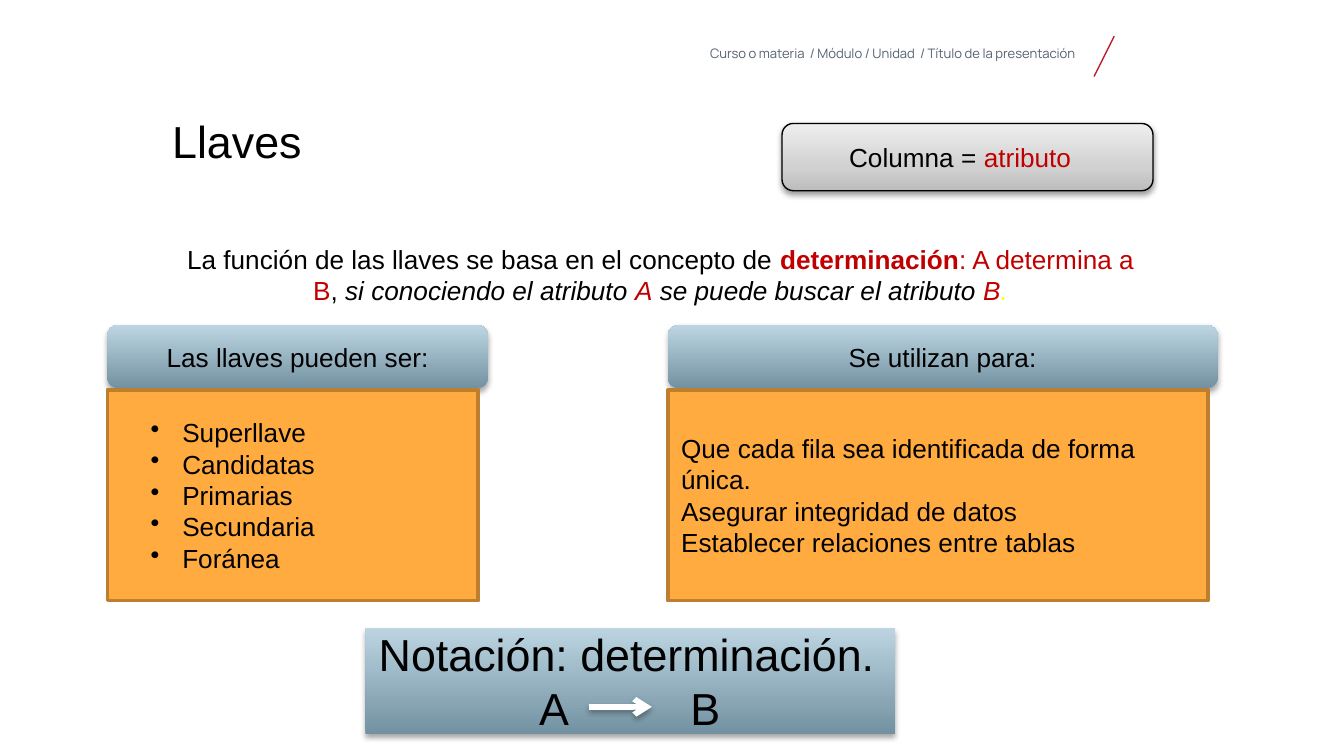
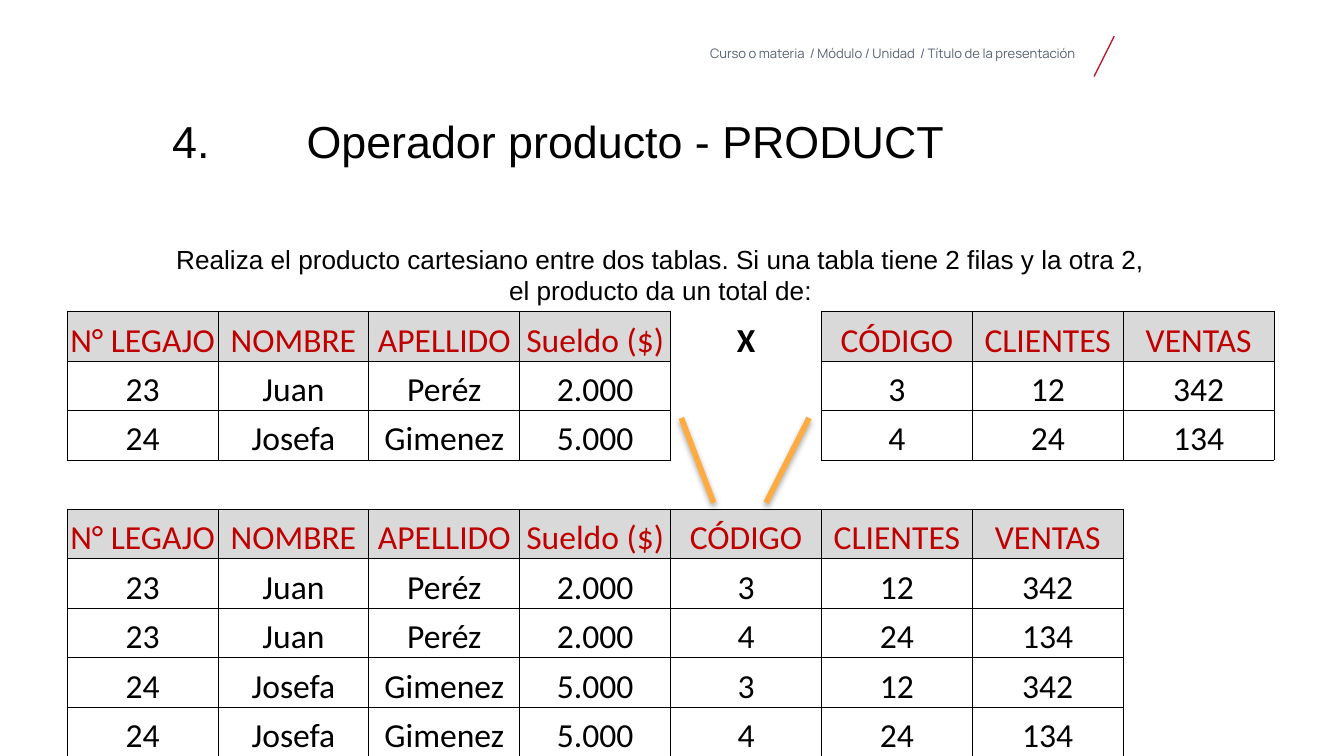
import itertools

import lxml.etree
import pptx
import pptx.dml.color
import pptx.enum.shapes
import pptx.enum.text
import pptx.oxml.ns
import pptx.util

Pt = pptx.util.Pt
RGB = pptx.dml.color.RGBColor
qn = pptx.oxml.ns.qn
Kind = pptx.enum.shapes.MSO_SHAPE
Align = pptx.enum.text.PP_ALIGN
Anchor = pptx.enum.text.MSO_ANCHOR

# Colours
BLACK = RGB(0x00, 0x00, 0x00)
WHITE = RGB(0xFF, 0xFF, 0xFF)
RED = RGB(0xC0, 0x00, 0x00)
YELLOW = RGB(0xFF, 0xFF, 0x00)
SLATE = RGB(0x55, 0x62, 0x71)
SLASH = RGB(0xBC, 0x18, 0x2C)
ORANGE = RGB(0xFF, 0xAB, 0x40)
BROWN = RGB(0xBD, 0x7F, 0x2F)
GREY = RGB(0xD9, 0xD9, 0xD9)
BLUES = [(0, RGB(0x73, 0x92, 0xA1)), (100, RGB(0xBD, 0xD5, 0xE2))]
GREYS = [(0, RGB(0xBD, 0xBD, 0xBD)), (35, RGB(0xD1, 0xD1, 0xD1)),
         (100, RGB(0xEE, 0xEE, 0xEE))]

# Text formats
SMALL = {"name": "Manrope", "size": Pt(7), "color": SLATE}
HEAD = {"name": "Arial", "size": Pt(24), "color": BLACK}
BODY = {"name": "Arial", "size": Pt(14), "color": BLACK}
CELL = {"name": "Calibri", "size": Pt(18), "color": BLACK}

CRUMB = "Curso o materia  / Módulo / Unidad  / Título de la presentación"


def node(top, tag, **vals):
    item = lxml.etree.SubElement(top, qn(tag))
    for key, val in vals.items():
        item.set(key, str(val))
    return item


def style(font, vals):
    for key, val in vals.items():
        if key == "color":
            font.color.rgb = val
        else:
            setattr(font, key, val)


class Deck:
    def __init__(self):
        self.prs = pptx.Presentation()
        self.prs.slide_width, self.prs.slide_height = Pt(720), Pt(405)
        self.slide = None

    def page(self, title, lead, width):
        """Start a slide with its breadcrumb, slash, heading and lead text."""
        self.slide = self.prs.slides.add_slide(self.prs.slide_layouts[5])
        crumb = self.slide.shapes.title
        crumb.left, crumb.top, crumb.width, crumb.height = map(Pt, (356.4, 25.2, 219.6, 10))
        self.fill(crumb.text_frame, [CRUMB], SMALL, Align.RIGHT, pad=(0, 0, 0, 0), space=0.9)
        self.line((596.9, 19.4), (586.1, 41), SLASH, 0.75)
        self.text((92.2, 64.1, width, 59.8), [title], HEAD, space=0.9, tabs=[72])
        self.text((92.2, 130.3, 523.4, 255.6), [lead], BODY, Align.CENTER)

    def fill(self, frame, paras, base, align=Align.LEFT, anchor=Anchor.TOP,
             pad=(7.2, 3.6, 7.2, 3.6), space=None, tabs=(), bullet=False):
        """Each paragraph is a string or a list of (text, format) runs."""
        form = {"word_wrap": True, "auto_size": pptx.enum.text.MSO_AUTO_SIZE.NONE,
                "vertical_anchor": anchor}
        sides = ("margin_left", "margin_top", "margin_right", "margin_bottom")
        form.update(zip(sides, map(Pt, pad)))
        for key, val in form.items():
            setattr(frame, key, val)
        for num, runs in enumerate(paras):
            para = frame.add_paragraph() if num else frame.paragraphs[0]
            para.alignment = align
            if space:
                para.line_spacing = space
            props = para._p.get_or_add_pPr()
            if bullet:
                props.set("marL", str(Pt(33)))
                props.set("indent", str(Pt(-17)))
                node(props, "a:buChar", char="•")
            if tabs:
                stops = node(props, "a:tabLst")
                for pos in tabs:
                    node(stops, "a:tab", pos=Pt(pos), algn="l")
            for words, extra in [(runs, {})] if isinstance(runs, str) else runs:
                run = para.add_run()
                run.text = words
                style(run.font, {**base, **extra})

    def text(self, area, paras, base, align=Align.LEFT, **opts):
        box = self.slide.shapes.add_textbox(*map(Pt, area))
        self.fill(box.text_frame, paras, base, align, pad=(0, 0, 0, 0), **opts)

    def shade(self, props, alpha=35, dist=1.8):
        """Fill the effect list: a soft shadow below, or none if alpha is 0."""
        group = props.find(qn("a:effectLst"))
        if group is None:
            group = node(props, "a:effectLst")
        if alpha:
            cast = node(group, "a:outerShdw", blurRad=Pt(3.1), dist=Pt(dist),
                        dir=90 * 60000, rotWithShape=0)
            tint = node(cast, "a:srgbClr", val=BLACK)
            node(tint, "a:alpha", val=alpha * 1000)

    def box(self, kind, area, fill, paras, base, line=None, width=0, shade=(0,), **opts):
        shape = self.slide.shapes.add_shape(kind, *map(Pt, area))
        shape.shadow.inherit = False
        props = shape._element.spPr
        if isinstance(fill, list):
            shape.fill.gradient()
            shape.fill.gradient_angle = 90
            stops = props.find(qn("a:gradFill")).find(qn("a:gsLst"))
            stops.clear()
            for pos, tint in fill:
                node(node(stops, "a:gs", pos=pos * 1000), "a:srgbClr", val=tint)
        else:
            shape.fill.solid()
            shape.fill.fore_color.rgb = fill
        if line is None:
            shape.line.fill.background()
        else:
            shape.line.color.rgb = line
            shape.line.width = Pt(width)
        self.shade(props, *shade)
        self.fill(shape.text_frame, paras, base, anchor=Anchor.MIDDLE, **opts)

    def line(self, start, end, tint, width, alpha=0, arrow=False):
        link = self.slide.shapes.add_connector(
            pptx.enum.shapes.MSO_CONNECTOR.STRAIGHT, *map(Pt, start + end))
        link.line.color.rgb = tint
        link.line.width = Pt(width)
        props = link._element.spPr
        if arrow:
            node(props.find(qn("a:ln")), "a:tailEnd", type="arrow")
        self.shade(props, alpha)

    def grid(self, area, rows, heads, plain):
        """Rule every cell with text, save those whose text is plain."""
        tall, wide = len(rows), len(rows[0])
        table = self.slide.shapes.add_table(tall, wide, *map(Pt, area)).table
        table.first_row = table.horz_banding = False
        for col in table.columns:
            col.width = Pt(area[2] / wide)
        for row in table.rows:
            row.height = Pt(area[3] / tall)

        def ruled(r, c):
            return 0 <= r < tall and 0 <= c < wide and rows[r][c] not in ("", plain)

        near = {"a:lnL": (0, -1), "a:lnR": (0, 1), "a:lnT": (-1, 0), "a:lnB": (1, 0)}
        for r, c in itertools.product(range(tall), range(wide)):
            cell, words = table.cell(r, c), rows[r][c]
            head = r in heads and ruled(r, c)
            cell.fill.solid()
            cell.fill.fore_color.rgb = GREY if head else WHITE
            cell.vertical_anchor = Anchor.BOTTOM
            cell.margin_left = cell.margin_right = cell.margin_top = Pt(0.7)
            cell.margin_bottom = Pt(0)
            para = cell.text_frame.paragraphs[0]
            para.alignment = Align.CENTER
            if words:
                run = para.add_run()
                run.text = words
                style(run.font, {**CELL, "color": RED if head else BLACK,
                                 "bold": words == plain})
            props = cell._tc.get_or_add_tcPr()
            for num, (tag, (down, over)) in enumerate(near.items()):
                edge = node(props, tag, w=Pt(0.5))
                if ruled(r, c) or ruled(r + down, c + over):
                    node(node(edge, "a:solidFill"), "a:srgbClr", val=BLACK)
                else:
                    node(edge, "a:noFill")
                props.insert(num, edge)


def keys(deck):
    red, tilt = {"color": RED}, {"italic": True}
    deck.page("Llaves", [
        ("La función de las llaves se basa en el concepto de ", {}),
        ("determinación", {**red, "bold": True}), (": A determina a B", red), (", ", {}),
        ("si conociendo el atributo ", tilt), ("A", {**red, **tilt}),
        (" se puede buscar el atributo ", tilt), ("B", {**red, **tilt}),
        (".", {"color": YELLOW, **tilt})], 382.3)

    # Notation
    deck.box(Kind.RECTANGLE, (195.8, 336.2, 283.7, 56.9), BLUES,
             ["Notación: determinación.", "\tA\tB"], HEAD, shade=(35,), tabs=[86, 167])

    # Two headed panels
    panels = [
        (57.6, 203.8, 198.7, "Las llaves pueden ser:", True,
         ["Superllave", "Candidatas", "Primarias", "Secundaria", "Foránea"]),
        (357.8, 294.5, 289.4, "Se utilizan para:", False,
         ["Que cada fila sea identificada de forma única.",
          "Asegurar integridad de datos", "Establecer relaciones entre tablas"])]
    for left, wide, inner, head, bullet, items in panels:
        deck.box(Kind.ROUNDED_RECTANGLE, (left, 174.2, wide, 33.8), BLUES, [head], BODY,
                 shade=(35,), align=Align.CENTER)
        deck.box(Kind.RECTANGLE, (left, 208.8, inner, 113), ORANGE, items, BODY,
                 BROWN, 2, bullet=bullet)

    # Arrow from A to B, and the column note
    deck.line((315.4, 378.7), (349.2, 378.7), WHITE, 3, alpha=35, arrow=True)
    deck.box(Kind.ROUNDED_RECTANGLE, (419, 66.2, 198.7, 36), GREYS,
             [[("Columna = ", {}), ("atributo", red)]], BODY, BLACK, 0.75,
             shade=(38, 1.6), align=Align.CENTER, pad=(7.2, 3.6, 15, 3.6))


def product(deck):
    deck.page("4.\tOperador producto - PRODUCT",
              "Realiza el producto cartesiano entre dos tablas. Si una tabla tiene 2 filas "
              "y la otra 2, el producto da un total de:", 514.8)

    # Two tables above, their product below
    staff = [["N° LEGAJO", "NOMBRE", "APELLIDO", "Sueldo ($)"],
             ["23", "Juan", "Peréz", "2.000"],
             ["24", "Josefa", "Gimenez", "5.000"]]
    sales = [["CÓDIGO", "CLIENTES", "VENTAS"], ["3", "12", "342"], ["4", "24", "134"]]
    rows = [a + [mid] + b for a, mid, b in zip(staff, ["X", "", ""], sales)]
    rows += [[""] * 8, staff[0] + sales[0] + [""]]
    rows += [a + b + [""] for a, b in itertools.product(staff[1:], sales[1:])]
    deck.grid((36, 167, 646.56, 238.3), rows, heads=(0, 4), plain="X")

    # Lines that lead into the product
    deck.line((365, 223.9), (382.3, 269.3), ORANGE, 3, alpha=35)
    deck.line((433.4, 223.9), (410.4, 269.3), ORANGE, 3, alpha=35)


def main():
    deck = Deck()
    keys(deck)
    product(deck)
    deck.prs.save("out.pptx")


if __name__ == "__main__":
    main()
